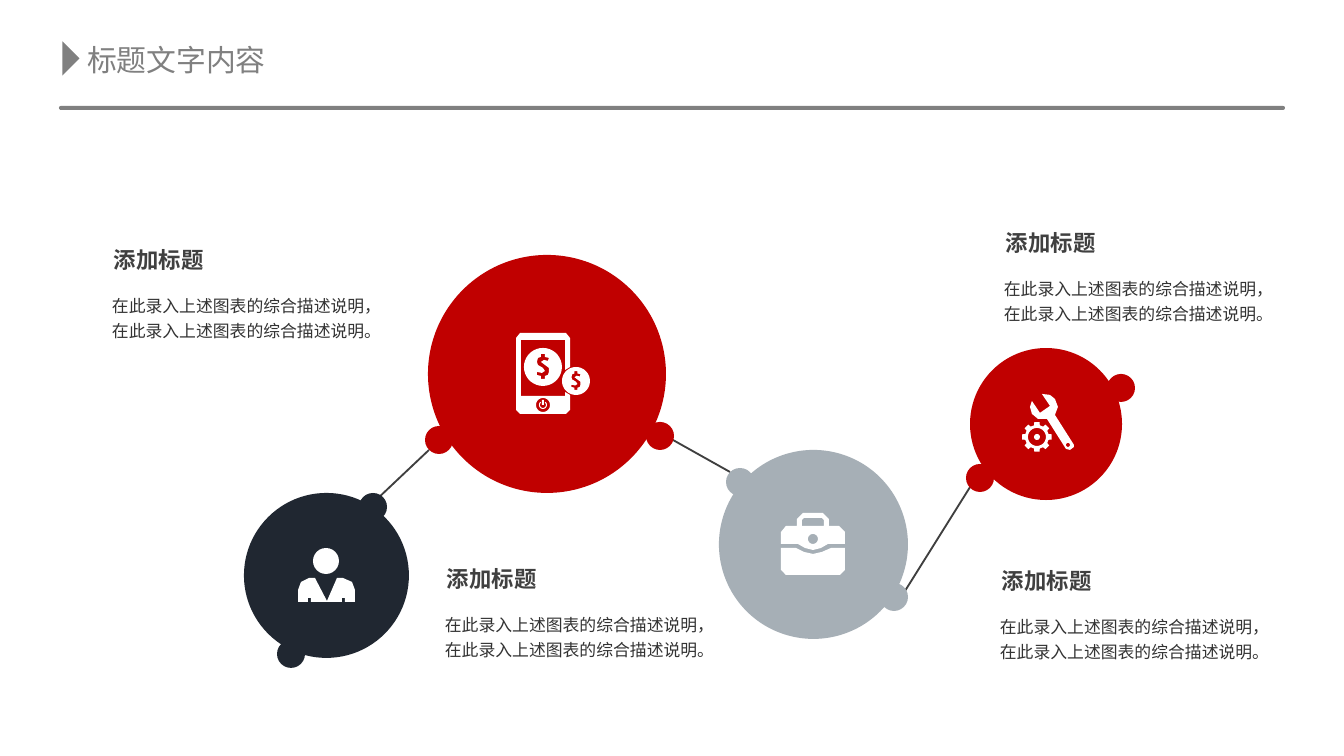
"""Build a slide with four linked circles, their icons and captions."""
from dataclasses import dataclass
from math import cos, radians, sin

from lxml.etree import SubElement
from pptx import Presentation
from pptx.dml.color import RGBColor
from pptx.enum.shapes import MSO_CONNECTOR, MSO_SHAPE
from pptx.enum.text import MSO_ANCHOR, MSO_AUTO_SIZE, PP_ALIGN
from pptx.oxml.ns import qn
from pptx.util import Emu, Pt

PIXELS_PER_INCH = 134.4
FONT = "Noto Sans CJK SC"
WHITE = RGBColor(0xFF, 0xFF, 0xFF)
RED = RGBColor(0xC0, 0x00, 0x00)
NAVY = RGBColor(0x20, 0x27, 0x31)
SILVER = RGBColor(0xA6, 0xAF, 0xB6)
GRAY = RGBColor(0x80, 0x80, 0x80)
LINK = RGBColor(0x3F, 0x3F, 0x3F)
HEADING = RGBColor(0x40, 0x40, 0x40)
BODY = RGBColor(0x33, 0x33, 0x33)
DOT_SIZE = 28

Contour = list[tuple[float, float]]


@dataclass(frozen=True)
class Node:
    left: int
    top: int
    size: int
    color: RGBColor
    dots: tuple[tuple[int, int], ...]


NODES = [
    Node(719, 450, 189, SILVER, ((726, 468), (880, 583))),
    Node(428, 255, 238, RED, ((425, 426), (646, 422))),
    Node(244, 493, 165, NAVY, ((359, 493), (277, 640))),
    Node(970, 348, 152, RED, ((966, 464), (1107, 374))),
]
LINKS = [(429, 450, 375, 501), (664, 435, 730, 472), (895, 607, 972, 484)]
CAPTIONS = [(104, 241), (437, 560), (992, 562), (996, 224)]

CASE_BASE = [(781, 548), (796, 548), (804, 552), (813, 554), (822, 552), (831, 548),
             (845, 548), (845, 570), (840, 575), (786, 575), (781, 570)]
CASE_LID = [(781, 532), (786, 526), (797, 526), (797, 519), (803, 513), (823, 513),
            (829, 519), (829, 526), (839, 526), (845, 532), (845, 544), (828, 544),
            (821, 548), (813, 550), (805, 548), (798, 544), (781, 544)]
CASE_HANDLE = [(802, 526), (802, 520), (804, 518), (822, 518), (824, 520), (824, 526)]
PHONE = [(565, 396), (521, 396), (521, 340), (565, 340), (565, 370), (570, 367),
         (570, 338), (566, 333), (520, 333), (516, 338), (516, 410), (520, 414),
         (566, 414), (570, 410), (570, 395), (565, 392)]
DOLLAR = [(2, 9), (2, 12), (-2, 12), (-2, 9), (-6, 8), (-6, 5), (-1, 6), (2, 4), (0, 1),
          (-5, -2), (-6, -5), (-5, -9), (-2, -10), (-2, -13), (2, -13), (2, -10),
          (6, -9), (5, -6), (1, -7), (-2, -5), (2, -2), (6, 1), (6, 5), (5, 8)]
PERSON = [(308, 602), (308, 598), (311, 598), (311, 602), (342, 602), (342, 598),
          (345, 598), (345, 602), (355, 602), (355, 590), (352, 582), (343, 578),
          (337, 578), (327, 601), (315, 578), (309, 578), (301, 582), (298, 590), (298, 602)]
WRENCH = [(1074, 445), (1055, 415), (1058, 407), (1055, 399), (1050, 395), (1042, 394),
          (1050, 406), (1040, 413), (1032, 401), (1030, 407), (1032, 414), (1038, 419),
          (1047, 419), (1066, 449), (1070, 450), (1074, 447)]


def px(length: float) -> Emu:
    """Turn pixels into EMU."""
    return Emu(round(length * 914400 / PIXELS_PER_INCH))


def arc(x: float, y: float, radius: float, start: int = 0, end: int = 350) -> Contour:
    """Return points ten degrees apart on a clockwise or anticlockwise arc."""
    step = 10 if end > start else -10
    return [(x + radius * cos(radians(angle)), y + radius * sin(radians(angle)))
            for angle in range(start, end + step, step)]


def gear(x: float, y: float, inner: int, outer: int) -> Contour:
    """Return the outline of a gear with eight teeth."""
    tooth = [(-14, inner), (-10, outer), (10, outer), (14, inner)]
    return [(x + radius * cos(radians(turn + offset)), y + radius * sin(radians(turn + offset)))
            for turn in range(0, 360, 45) for offset, radius in tooth]


def coin(x: int, y: int, radius: int, scale: float) -> list[Contour]:
    """Return a disc with a dollar sign cut out."""
    return [arc(x, y, radius), [(x + dx * scale, y + dy * scale) for dx, dy in DOLLAR]]


def paint(shape, color: RGBColor) -> None:
    """Give a shape a plain fill."""
    shape.shadow.inherit = False
    shape.fill.solid()
    shape.fill.fore_color.rgb = color
    shape.line.fill.background()


def add_preset(slide, kind, left: int, top: int, width: int, height: int, color: RGBColor):
    """Add a filled preset shape."""
    shape = slide.shapes.add_shape(kind, px(left), px(top), px(width), px(height))
    paint(shape, color)
    return shape


def add_circle(slide, left: int, top: int, size: int, color: RGBColor) -> None:
    """Add a filled circle."""
    add_preset(slide, MSO_SHAPE.OVAL, left, top, size, size, color)


def add_outline(slide, *contours: Contour) -> None:
    """Add a white freeform whose later contours are holes."""
    outlines = [[(px(x), px(y)) for x, y in contour] for contour in contours]
    builder = slide.shapes.build_freeform(*outlines[0][0])
    for index, points in enumerate(outlines):
        if index:
            builder.move_to(*points[0])
        builder.add_line_segments(points[1:], close=True)
    paint(builder.convert_to_shape(), WHITE)


def add_link(slide, ends: tuple[int, int, int, int]) -> None:
    """Add a thin straight connector."""
    connector = slide.shapes.add_connector(MSO_CONNECTOR.STRAIGHT, *map(px, ends))
    connector.line.color.rgb = LINK
    connector.line.width = Pt(1)
    SubElement(connector._element.spPr, qn("a:effectLst"))


def write(shape, text: str, *, size: int, color: RGBColor, bold: bool = False, wrap: bool = True,
          spacing: float = 1.0, inset: tuple[int, int] = (10, 5), anchor=MSO_ANCHOR.TOP) -> None:
    """Fill a shape with one formatted paragraph."""
    frame = shape.text_frame
    frame.auto_size = MSO_AUTO_SIZE.NONE
    frame.word_wrap = wrap
    frame.vertical_anchor = anchor
    frame.margin_left = frame.margin_right = px(inset[0])
    frame.margin_top = frame.margin_bottom = px(inset[1])
    paragraph = frame.paragraphs[0]
    paragraph.alignment = PP_ALIGN.LEFT
    paragraph.line_spacing = spacing
    run = paragraph.add_run()
    run.text = text
    run.font.size = Pt(size)
    run.font.bold = bold
    run.font.color.rgb = color
    run.font.name = FONT
    SubElement(run.font._element, qn("a:ea"), typeface=FONT)


def add_header(slide) -> None:
    """Add the title, its marker and the rule below."""
    title = slide.shapes.title
    title.left, title.top, title.width, title.height = map(px, (74, 35, 223, 50))
    write(title, "标题文字内容", size=16, color=GRAY, wrap=False, inset=(13, 7),
          anchor=MSO_ANCHOR.MIDDLE)
    add_preset(slide, MSO_SHAPE.ISOSCELES_TRIANGLE, 54, 50, 34, 17, GRAY).rotation = 90
    rule = add_preset(slide, MSO_SHAPE.ROUNDED_RECTANGLE, 59, 106, 1226, 4, GRAY)
    rule.adjustments[0] = 0.5


def add_caption(slide, left: int, top: int) -> None:
    """Add a heading with its description."""
    heading = slide.shapes.add_textbox(px(left), px(top), px(116), px(38))
    write(heading, "添加标题", size=12, color=HEADING, bold=True)
    description = slide.shapes.add_textbox(px(left - 2), px(top + 46), px(303), px(59))
    write(description, "在此录入上述图表的综合描述说明，在此录入上述图表的综合描述说明。",
          size=9, color=BODY, spacing=1.2)


def add_icons(slide) -> None:
    """Add the white icons inside the circles."""
    add_outline(slide, CASE_BASE)
    add_outline(slide, CASE_LID, CASE_HANDLE, arc(813, 539, 5))
    add_outline(slide, PHONE, arc(543, 405, 7))
    add_outline(slide, *coin(543, 367, 19, 1))
    add_outline(slide, *coin(576, 381, 14, 0.75))
    add_outline(slide, arc(543, 405, 4, -50, 230) + arc(543, 405, 3, 230, -50))
    add_preset(slide, MSO_SHAPE.RECTANGLE, 542, 400, 2, 5, WHITE)
    add_circle(slide, 313, 548, 26, WHITE)
    add_outline(slide, PERSON)
    add_outline(slide, WRENCH, arc(1068, 445, 2))
    add_outline(slide, gear(1037, 437, 12, 15), arc(1037, 437, 9))
    add_circle(slide, 1034, 434, 6, WHITE)


def main() -> None:
    """Build and save the presentation."""
    presentation = Presentation()
    presentation.slide_width, presentation.slide_height = px(1344), px(756)
    slide = presentation.slides.add_slide(presentation.slide_layouts[5])
    add_header(slide)
    for ends in LINKS:
        add_link(slide, ends)
    for node in NODES:
        add_circle(slide, node.left, node.top, node.size, node.color)
        for left, top in node.dots:
            add_circle(slide, left, top, DOT_SIZE, node.color)
    add_icons(slide)
    for left, top in CAPTIONS:
        add_caption(slide, left, top)
    presentation.save("out.pptx")


if __name__ == "__main__":
    main()
